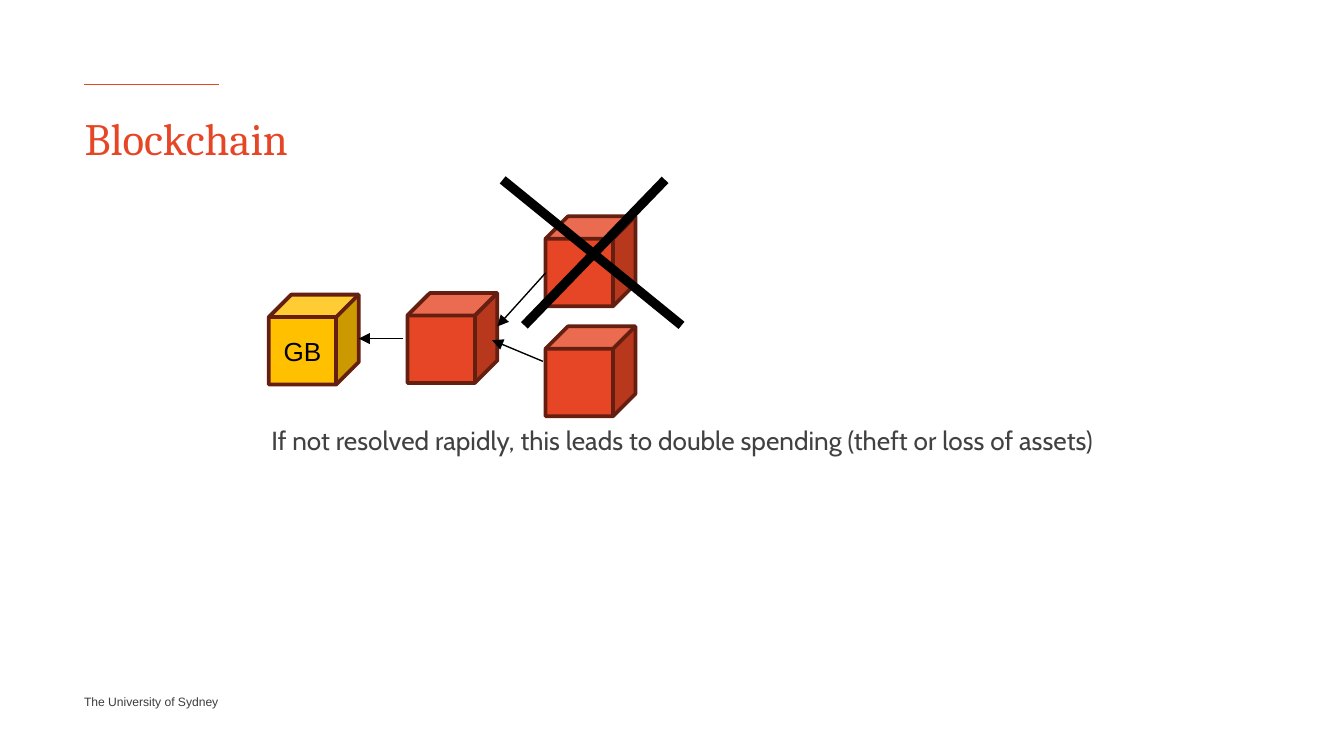
"""Build the Blockchain slide showing a fork resolved by dropping one block."""
import pptx
import pptx.dml.color
import pptx.enum.shapes
import pptx.enum.text
import pptx.oxml
import pptx.oxml.ns
import pptx.util
from lxml import etree

Cm = pptx.util.Cm
Pt = pptx.util.Pt
RGBColor = pptx.dml.color.RGBColor
qn = pptx.oxml.ns.qn

RED = RGBColor(0xE6, 0x46, 0x26)
DARK_RED = RGBColor(0x65, 0x1F, 0x11)
GOLD = RGBColor(0xFF, 0xC0, 0x00)
BLACK = RGBColor(0, 0, 0)
BODY_GREY = RGBColor(0x41, 0x41, 0x41)
FOOTER_GREY = RGBColor(0x3C, 0x3C, 0x3B)
CUBE_SIZE = 1.7


def add_line(start, end, color, width, arrow=False):
    s = slide.shapes.add_connector(
        pptx.enum.shapes.MSO_CONNECTOR.STRAIGHT,
        Cm(start[0]), Cm(start[1]), Cm(end[0]), Cm(end[1]))
    s.line.color.rgb = color
    s.line.width = Pt(width)
    if arrow:
        etree.SubElement(s.line._get_or_add_ln(), qn("a:tailEnd"), type="triangle")
    etree.SubElement(s._element.spPr, qn("a:effectLst"))


def format_run(r, font, size, color):
    r.font.name = font
    r.font.size = Pt(size)
    r.font.color.rgb = color


prs = pptx.Presentation()
prs.slide_width = Cm(25.4)
prs.slide_height = Cm(14.29)
slide = prs.slides.add_slide(prs.slide_layouts[6])

add_line((4.13, 1.6), (1.59, 1.6), RED, 0.75)

texts = [
    ("Blockchain", (1.6, 2.06, 22.2, 1.07), (0, 0.03), "Cambria", 24, RED),
    ("The University of Sydney", (1.59, 13.13, 2.62, 0.33), (0, 0), "Arial", 6.5, FOOTER_GREY),
    ("If not resolved rapidly, this leads to double spending (theft or loss of assets)",
     (4.88, 7.9, 18.54, 3.05), (0.25, 0.13), "Cabin", 14, BODY_GREY),
]
for text, box, (side, top), font, size, color in texts:
    s = slide.shapes.add_textbox(*map(Cm, box))
    tf = s.text_frame
    tf.word_wrap = True
    tf.margin_left = tf.margin_right = Cm(side)
    tf.margin_top = Cm(top)
    tf.margin_bottom = 0
    tf.text = text
    format_run(tf.paragraphs[0].runs[0], font, size, color)

cubes = [
    (5.08, 5.57, GOLD, "GB"),
    (7.7, 5.54, RED, ""),
    (10.31, 4.09, RED, ""),
    (10.31, 6.17, RED, ""),
]
for left, top, color, label in cubes:
    s = slide.shapes.add_shape(
        pptx.enum.shapes.MSO_SHAPE.CUBE,
        Cm(left), Cm(top), Cm(CUBE_SIZE), Cm(CUBE_SIZE))
    s.shadow.inherit = False
    s.fill.solid()
    s.fill.fore_color.rgb = color
    s.line.color.rgb = DARK_RED
    s.line.width = Pt(2)
    if label:
        tf = s.text_frame
        tf.text = label
        tf.vertical_anchor = pptx.enum.text.MSO_ANCHOR.MIDDLE
        p = tf.paragraphs[0]
        p.alignment = pptx.enum.text.PP_ALIGN.CENTER
        format_run(p.runs[0], "Arial", 14, BLACK)

arrows = [
    ((7.62, 6.4), (6.78, 6.4)),
    ((10.26, 6.83), (9.3, 6.43)),
    ((10.31, 5.16), (9.4, 6.17)),
]
for start, end in arrows:
    add_line(start, end, BLACK, 0.75, arrow=True)

cross = [((9.5, 3.4), (12.88, 6.15)), ((12.57, 3.4), (9.91, 6.15))]
for start, end in cross:
    add_line(start, end, BLACK, 5)

prs.save("out.pptx")
